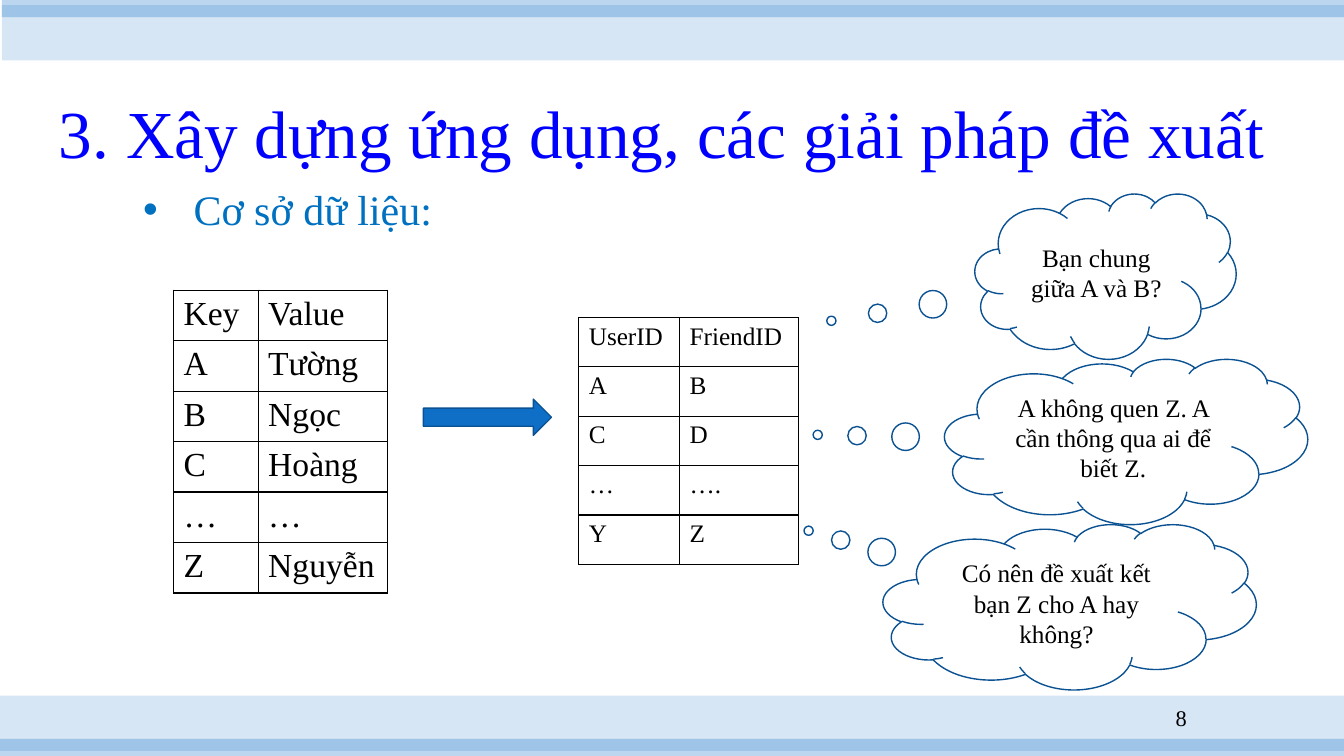
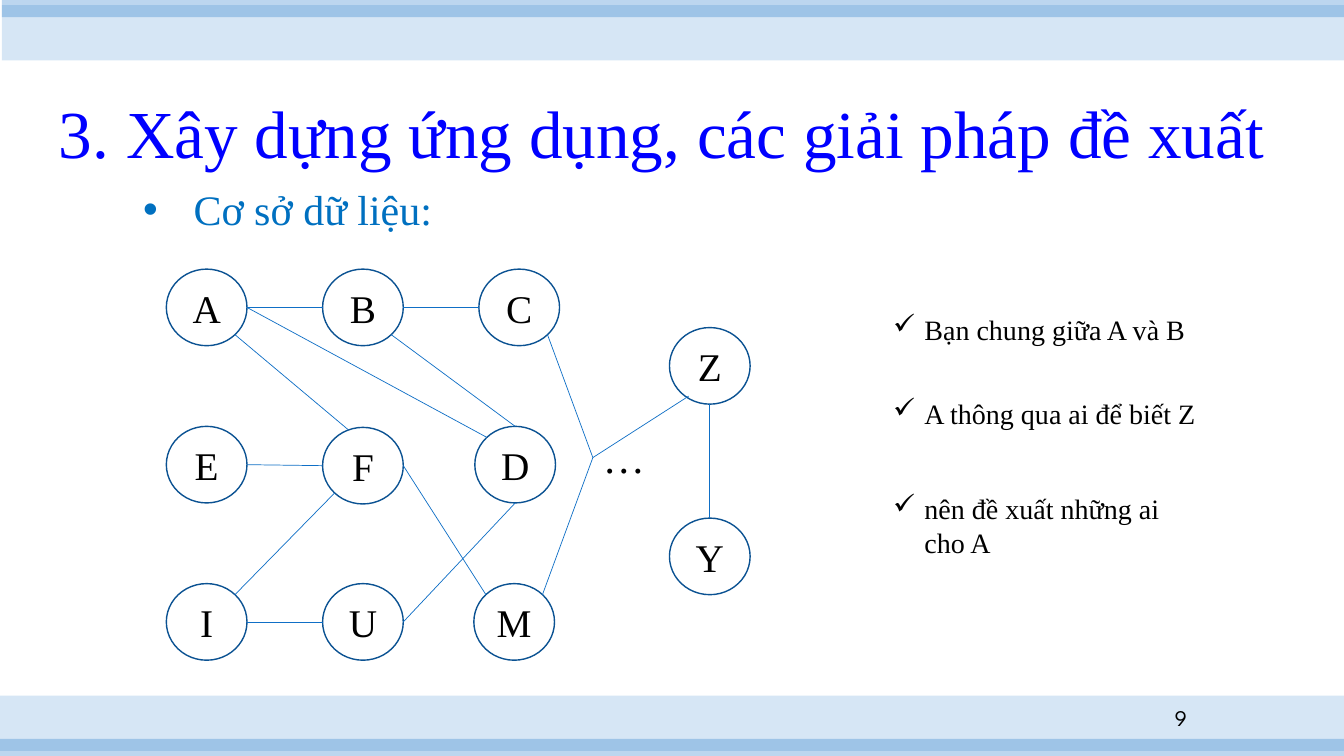
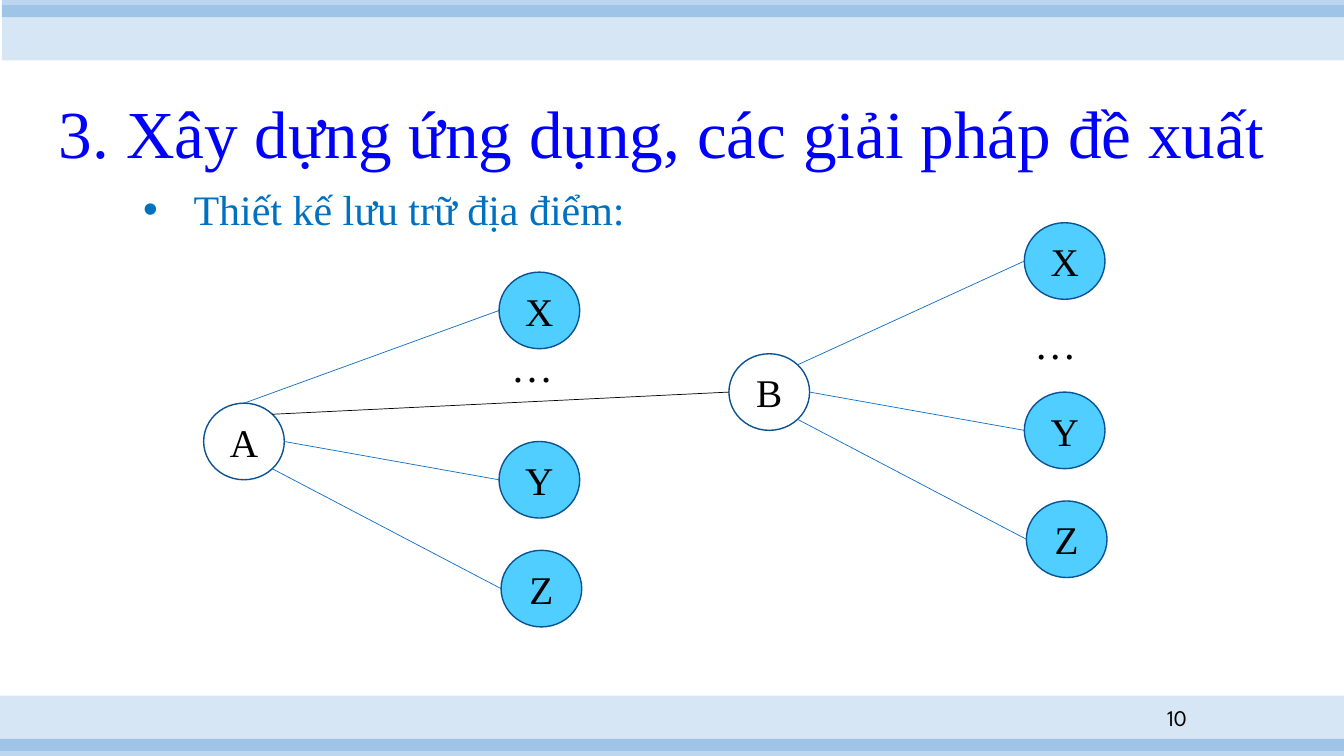
from dataclasses import dataclass
from enum import Enum
from typing import NamedTuple

from lxml import etree
from pptx import Presentation
from pptx import util as u
from pptx.dml.color import RGBColor
from pptx.enum import shapes, text
from pptx.oxml import ns

PX = 9144  # EMU in one px, 100 px to the inch


class Box(NamedTuple):
    left: int
    top: int
    width: int
    height: int


class Point(NamedTuple):
    x: int
    y: int

    def shifted(self, dx: int, dy: int) -> "Point":
        return Point(self.x + dx, self.y + dy)


@dataclass(frozen=True)
class TextStyle:
    size: int
    color: str = "000000"
    font: str = "Times New Roman"


@dataclass(frozen=True)
class Theme:
    accent: str = "0F6FC6"
    outline: str = "0B5292"
    paper: str = "FFFFFF"
    ink: str = "000000"
    place: str = "4FCEFF"
    outline_pt: float = 1
    edge_pt: float = 0.5
    title: TextStyle = TextStyle(48, "0000FF")
    heading: TextStyle = TextStyle(30, "0070C0")
    ellipsis: TextStyle = TextStyle(30)
    node: TextStyle = TextStyle(28)
    large_cell: TextStyle = TextStyle(24)
    check: TextStyle = TextStyle(20)
    small: TextStyle = TextStyle(18)
    number: TextStyle = TextStyle(16)
    number_alt: TextStyle = TextStyle(16, font="League Spartan")


THEME = Theme()
SLIDE = Point(1333, 750)
TITLE = "3. Xây dựng ứng dụng, các giải pháp đề xuất"
TITLE_BOX = Box(26, 70, 1261, 107)
NUMBER_BOX = Box(1117, 699, 70, 26)


class Band(NamedTuple):
    box: Box
    opacity: int


BANDS = (
    Band(Box(0, 690, SLIDE.x, 55), 17),
    Band(Box(0, 733, SLIDE.x, 17), 28),
    Band(Box(2, 5, SLIDE.x, 55), 17),
    Band(Box(2, 0, SLIDE.x, 17), 28),
)


class Site(Enum):
    """Connection places on an ellipse, as fractions of its width and height."""
    TOP = (0.5, 0)
    TOP_RIGHT = (0.85, 0.15)
    RIGHT = (1, 0.5)
    BOTTOM_RIGHT = (0.85, 0.85)
    BOTTOM = (0.5, 1)
    BOTTOM_LEFT = (0.15, 0.85)
    LEFT = (0, 0.5)
    TOP_LEFT = (0.15, 0.15)


@dataclass(frozen=True)
class Node:
    label: str
    corner: Point
    fill: str = THEME.paper
    width: int = 80
    height: int = 76

    def at(self, site: Site) -> Point:
        across, down = site.value
        return self.corner.shifted(round(across * self.width), round(down * self.height))


class Cloud(NamedTuple):
    question: str
    box: Box
    tail: tuple[float, float]


class Check(NamedTuple):
    claim: str
    box: Box


@dataclass(frozen=True)
class Grid:
    corner: Point
    columns: tuple[int, ...]
    row_height: int
    style: TextStyle
    rows: tuple[tuple[str, ...], ...]


def emu(box) -> list[int]:
    return [length * PX for length in box]


def rgb(color: str) -> RGBColor:
    return RGBColor.from_string(color)


def write(paragraph, content: str, style: TextStyle) -> None:
    run = paragraph.add_run()
    run.text = content
    run.font.size = u.Pt(style.size)
    run.font.name = style.font
    run.font.color.rgb = rgb(style.color)


def set_bullet(paragraph, glyph: str, indent: int) -> None:
    properties = paragraph._p.get_or_add_pPr()
    properties.set("marL", str(indent * PX))
    properties.set("indent", str(-indent * PX))
    etree.SubElement(properties, ns.qn("a:buChar")).set("char", glyph)


def place(shape, box: Box) -> None:
    shape.left, shape.top, shape.width, shape.height = emu(box)


def add_text(slide, box: Box, content: str, style: TextStyle):
    """Add a wrapping text box and return its paragraph."""
    frame = slide.shapes.add_textbox(*emu(box)).text_frame
    frame.word_wrap = True
    paragraph = frame.paragraphs[0]
    write(paragraph, content, style)
    return paragraph


def add_outlined(slide, kind, box: Box, fill: str, content: str = "",
                 style: TextStyle = THEME.small):
    shape = slide.shapes.add_shape(kind, *emu(box))
    shape.shadow.inherit = False
    shape.fill.solid()
    shape.fill.fore_color.rgb = rgb(fill)
    shape.line.color.rgb = rgb(THEME.outline)
    shape.line.width = u.Pt(THEME.outline_pt)
    if content:
        paragraph = shape.text_frame.paragraphs[0]
        paragraph.alignment = text.PP_ALIGN.CENTER
        write(paragraph, content, style)
    return shape


def add_node(slide, node: Node) -> None:
    box = Box(*node.corner, node.width, node.height)
    add_outlined(slide, shapes.MSO_SHAPE.OVAL, box, node.fill, node.label, THEME.node)


def add_edge(slide, start: Point, end: Point, color: str = THEME.accent) -> None:
    edge = slide.shapes.add_connector(shapes.MSO_CONNECTOR.STRAIGHT, *emu(start), *emu(end))
    edge.line.color.rgb = rgb(color)
    edge.line.width = u.Pt(THEME.edge_pt)
    etree.SubElement(edge.element.spPr, ns.qn("a:effectLst"))


def add_ellipsis(slide, corner: Point) -> None:
    add_text(slide, Box(*corner, 189, 61), "…", THEME.ellipsis)


def add_cloud(slide, cloud: Cloud) -> None:
    shape = add_outlined(slide, shapes.MSO_SHAPE.CLOUD_CALLOUT, cloud.box,
                         THEME.paper, cloud.question)
    for index, offset in enumerate(cloud.tail):
        shape.adjustments[index] = offset


def border_cell(cell) -> None:
    properties = cell._tc.get_or_add_tcPr()
    for side in ("lnL", "lnR", "lnT", "lnB"):
        line = etree.SubElement(properties, ns.qn(f"a:{side}"), w=str(u.Pt(THEME.outline_pt)))
        fill = etree.SubElement(line, ns.qn("a:solidFill"))
        etree.SubElement(fill, ns.qn("a:srgbClr"), val=THEME.ink)


def add_grid(slide, grid: Grid) -> None:
    box = Box(*grid.corner, sum(grid.columns), grid.row_height * len(grid.rows))
    table = slide.shapes.add_table(len(grid.rows), len(grid.columns), *emu(box)).table
    table.first_row = table.horz_banding = False
    for column, width in zip(table.columns, grid.columns):
        column.width = width * PX
    for row, entries in zip(table.rows, grid.rows):
        row.height = grid.row_height * PX
        for cell, entry in zip(row.cells, entries):
            border_cell(cell)
            cell.fill.solid()
            cell.fill.fore_color.rgb = rgb(THEME.paper)
            write(cell.text_frame.paragraphs[0], entry, grid.style)


def add_bands(slide) -> None:
    """Draw the bands and hand them over to the slide master."""
    tree = slide.slide_layout.slide_master.shapes.element
    for band in BANDS:
        shape = slide.shapes.add_shape(shapes.MSO_SHAPE.RECTANGLE, *emu(band.box))
        shape.shadow.inherit = False
        shape.line.fill.background()
        shape.fill.solid()
        shape.fill.fore_color.rgb = rgb(THEME.accent)
        color = shape.element.spPr.find(f".//{ns.qn('a:srgbClr')}")
        etree.SubElement(color, ns.qn("a:alpha"), val=str(band.opacity * 1000))
        used = [int(props.get("id")) for props in tree.iter(ns.qn("p:cNvPr"))]
        shape.element.nvSpPr.cNvPr.set("id", str(max(used) + 1))
        tree.append(shape.element)


def add_slide(deck, heading: str, heading_width: int, number: str, number_style: TextStyle):
    slide = deck.slides.add_slide(deck.slide_layouts[1])
    title, body = slide.placeholders

    place(title, TITLE_BOX)
    title.text_frame.auto_size = text.MSO_AUTO_SIZE.NONE
    title.text_frame.vertical_anchor = text.MSO_ANCHOR.BOTTOM
    title_line = title.text_frame.paragraphs[0]
    title_line.alignment = text.PP_ALIGN.CENTER
    title_line.line_spacing = 0.9
    write(title_line, TITLE, THEME.title)

    place(body, Box(132, 177, heading_width, 91))
    body.text_frame.auto_size = text.MSO_AUTO_SIZE.NONE
    heading_line = body.text_frame.paragraphs[0]
    heading_line.space_before = u.Pt(0)
    set_bullet(heading_line, "•", 50)
    write(heading_line, heading, THEME.heading)

    number_line = add_text(slide, NUMBER_BOX, number, number_style)
    number_line.alignment = text.PP_ALIGN.RIGHT
    slide.shapes[-1].text_frame.vertical_anchor = text.MSO_ANCHOR.MIDDLE
    return slide


def build_tables(deck) -> None:
    slide = add_slide(deck, "Cơ sở dữ liệu:", 399, "8", THEME.number)
    add_bands(slide)
    friends = Grid(Point(574, 315), (100, 118), 49, THEME.small, (
        ("UserID", "FriendID"), ("A", "B"), ("C", "D"), ("…", "…."), ("Y", "Z")))
    users = Grid(Point(172, 288), (84, 128), 50, THEME.large_cell, (
        ("Key", "Value"), ("A", "Tường"), ("B", "Ngọc"), ("C", "Hoàng"),
        ("…", "…"), ("Z", "Nguyễn")))
    for grid in (friends, users):
        add_grid(slide, grid)
    add_outlined(slide, shapes.MSO_SHAPE.RIGHT_ARROW, Box(420, 396, 127, 36), THEME.accent)
    for cloud in (
        Cloud("Bạn chung giữa A và B?", Box(967, 192, 259, 164), (-1.05, 0.27)),
        Cloud("A không quen Z. A cần thông qua ai để biết Z.",
              Box(937, 356, 360, 164), (-0.85, -0.04)),
        Cloud("Có nên đề xuất kết bạn Z cho A hay không?",
              Box(876, 520, 370, 164), (-0.7, -0.46)),
    ):
        add_cloud(slide, cloud)


def build_friend_graph(deck) -> None:
    slide = add_slide(deck, "Cơ sở dữ liệu:", 399, "9", THEME.number_alt)
    corners = {
        "A": (165, 267), "B": (320, 267), "C": (475, 267),
        "E": (165, 423), "F": (320, 424), "D": (471, 423),
        "I": (165, 579), "U": (320, 579), "M": (470, 579),
        "Z": (664, 325), "Y": (664, 514),
    }
    people = {label: Node(label, Point(*corner)) for label, corner in corners.items()}
    for person in people.values():
        add_node(slide, person)

    for start, start_site, end, end_site in (
        ("A", Site.RIGHT, "B", Site.LEFT),
        ("B", Site.RIGHT, "C", Site.LEFT),
        ("E", Site.RIGHT, "F", Site.LEFT),
        ("I", Site.RIGHT, "U", Site.LEFT),
        ("I", Site.TOP_RIGHT, "F", Site.BOTTOM_LEFT),
        ("F", Site.RIGHT, "M", Site.TOP_LEFT),
        ("U", Site.RIGHT, "D", Site.BOTTOM),
        ("A", Site.RIGHT, "D", Site.TOP_LEFT),
        ("B", Site.BOTTOM_RIGHT, "D", Site.TOP),
        ("Z", Site.BOTTOM, "Y", Site.TOP),
    ):
        add_edge(slide, people[start].at(start_site), people[end].at(end_site))
    add_edge(slide, people["A"].at(Site.BOTTOM_RIGHT), Point(345, 426))

    others = Point(588, 454)
    for end in (people["C"].at(Site.BOTTOM_RIGHT), people["M"].at(Site.TOP_RIGHT),
                Point(683, 393)):
        add_edge(slide, end, others)
    add_ellipsis(slide, Point(588, 423))

    for check in (
        Check("Bạn chung giữa A và B", Box(876, 305, 329, 44)),
        Check("A thông qua ai để biết Z", Box(876, 388, 329, 44)),
        Check("nên đề xuất những ai cho A", Box(876, 483, 329, 77)),
    ):
        set_bullet(add_text(slide, check.box, check.claim, THEME.check), "✓", 31)


def add_visits(slide, person: Node, first_site: Site) -> None:
    """Draw a person with edges to the three places X, Y and Z."""
    add_node(slide, person)
    for label, offset, site in (
        ("X", (293, -130), first_site),
        ("Y", (293, 38), Site.RIGHT),
        ("Z", (295, 146), Site.BOTTOM_RIGHT),
    ):
        visited = Node(label, person.corner.shifted(*offset), THEME.place)
        add_node(slide, visited)
        add_edge(slide, person.at(site), visited.at(Site.LEFT))


def build_place_graph(deck) -> None:
    slide = add_slide(deck, "Thiết kế lưu trữ địa điểm:", 530, "10", THEME.number_alt)
    person_a = Node("A", Point(202, 400))
    person_b = Node("B", Point(723, 351))
    add_visits(slide, person_a, Site.TOP)
    add_visits(slide, person_b, Site.TOP_RIGHT)
    for corner in (Point(497, 333), Point(1016, 310)):
        add_ellipsis(slide, corner)
    add_edge(slide, person_a.at(Site.TOP_RIGHT), person_b.at(Site.LEFT), THEME.ink)


def main() -> None:
    deck = Presentation()
    deck.slide_width, deck.slide_height = emu(SLIDE)
    build_tables(deck)
    build_friend_graph(deck)
    build_place_graph(deck)
    deck.save("out.pptx")


if __name__ == "__main__":
    main()
